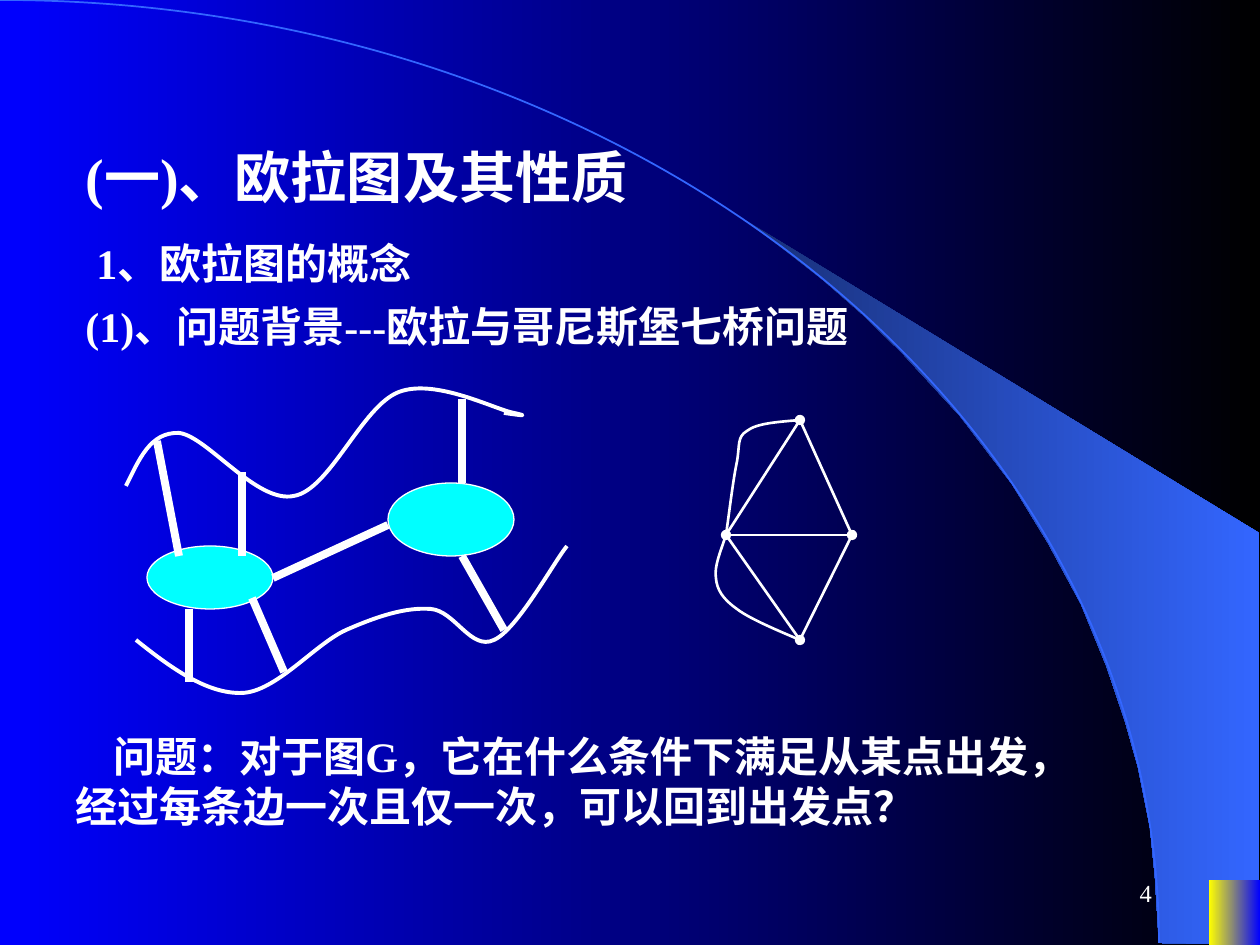
from lxml.etree import SubElement
from pptx import Presentation
from pptx.dml.color import RGBColor
from pptx.enum.shapes import MSO_CONNECTOR, MSO_SHAPE
from pptx.enum.text import MSO_ANCHOR, MSO_AUTO_SIZE, PP_ALIGN
from pptx.oxml.ns import qn
from pptx.util import Pt

PX = 914400 / 126
WHITE = RGBColor(255, 255, 255)
BLACK = RGBColor(0, 0, 0)
BLUE = RGBColor(0, 0, 255)
NAVY = RGBColor(0x18, 0x2F, 0x76)
SKY = RGBColor(0x33, 0x66, 0xFF)
YELLOW = RGBColor(255, 255, 0)
CYAN = RGBColor(0, 255, 255)


def emu(*nums):
    return [round(n * PX) for n in nums]


def outline(pts, close):
    pen = shapes.build_freeform(*emu(*pts[0]), scale=1.0)
    pen.add_line_segments([emu(*p) for p in pts[1:]], close=close)
    shape = pen.convert_to_shape()
    shape.shadow.inherit = False
    return shape


deck = Presentation()
deck.slide_width, deck.slide_height = emu(1260, 945)
slide = deck.slides.add_slide(deck.slide_layouts[5])
shapes = slide.shapes

# Backdrop: gradient, bright band right of the arc, corner block
band = outline([(1159, 943), (1259, 944), (1259, 533), (742, 218), (786, 251),
                (823, 280), (863, 315), (902, 353), (960, 416), (1012, 484),
                (1048, 543), (1081, 604), (1106, 665), (1125, 721), (1138, 767),
                (1150, 827), (1155, 877)], True)
block = shapes.add_shape(MSO_SHAPE.RECTANGLE, *emu(1209, 880, 51, 65))
block.shadow.inherit = False
for fill, first, last in (
    (slide.background.fill, BLUE, BLACK),
    (band.fill, NAVY, SKY),
    (block.fill, YELLOW, BLUE),
):
    fill.gradient()
    fill.gradient_angle = 0
    for stop, pos, color in zip(fill.gradient_stops, (0, 1), (first, last)):
        stop.position = pos
        stop.color.rgb = color
band.line.fill.background()
block.line.fill.background()

# Bezier knots: arc, the two river banks, the two bent edges of the graph
arc = [(0, 0), (640, 0), (1159, 422), (1159, 943)]
north = [(126, 486), (139, 460), (150, 432), (179, 433), (207, 436), (257, 504),
         (294, 496), (330, 490), (362, 406), (399, 392), (436, 378), (496, 410),
         (514, 413), (532, 417), (518, 415), (504, 413)]
south = [(136, 640), (171, 668), (207, 694), (242, 693), (276, 692), (315, 644),
         (346, 630), (378, 616), (406, 607), (431, 609), (455, 611), (471, 651),
         (494, 640), (517, 630), (554, 562), (567, 546)]
upper = [(800, 420), (779, 422), (757, 423), (747, 431), (737, 437), (740, 445),
         (737, 462), (733, 480), (728, 523), (726, 535)]
lower = [(726, 535), (721, 551), (714, 566), (716, 578), (717, 590), (723, 599),
         (737, 609), (751, 620), (789, 635), (800, 640)]
for knots, color, width in (
    (arc, SKY, 1),
    (north, WHITE, 2.25),
    (south, WHITE, 2.25),
    (upper, WHITE, 1.5),
    (lower, WHITE, 1.5),
):
    curve = outline(knots, False)
    curve.fill.background()
    curve.line.color.rgb = color
    curve.line.width = Pt(width)
    # Every three straight steps become one cubic curve
    track = next(curve._element.iter(qn("a:path")))
    steps = track.findall(qn("a:lnTo"))
    for i in range(0, len(steps), 3):
        bend = SubElement(track, qn("a:cubicBezTo"))
        for step in steps[i:i + 3]:
            bend.append(step[0])
            track.remove(step)

# Islands
for box in ((147, 546, 126, 63), (388, 483, 126, 73)):
    isle = shapes.add_shape(MSO_SHAPE.OVAL, *emu(*box))
    isle.shadow.inherit = False
    isle.fill.solid()
    isle.fill.fore_color.rgb = CYAN
    isle.line.color.rgb = WHITE
    isle.line.width = Pt(0.75)

# Seven bridges, then the straight edges of the graph (True: dots at both ends)
top, west, east, foot = (800, 420), (726, 535), (852, 535), (800, 640)
bridges = [((157, 441), (179, 556)), ((242, 472), (242, 556)), ((189, 609), (189, 682)),
           ((252, 598), (284, 672)), ((462, 399), (462, 483)), ((462, 556), (504, 630)),
           ((273, 578), (388, 525))]
edges = [(west, east, False), (top, west, True), (east, foot, True),
         (top, east, False), (west, foot, False)]
for start, end, width, dots in (
    [(a, b, 4.5, False) for a, b in bridges] + [(a, b, 1.5, d) for a, b, d in edges]
):
    line = shapes.add_connector(MSO_CONNECTOR.STRAIGHT, *emu(*start, *end))
    line.line.color.rgb = WHITE
    line.line.width = Pt(width)
    props = line._element.spPr
    if dots:
        for tag in ("a:headEnd", "a:tailEnd"):
            SubElement(props.find(qn("a:ln")), qn(tag), type="oval")
    SubElement(props, qn("a:effectLst"))

# Text: box, size, bold, first-line indent, right margin, wording
title = shapes.title
for box, size, bold, indent, margin, words in (
    ((73, 136, 924, 81), 32, True, 0, 13, "(一)、欧拉图及其性质"),
    ((84, 231, 987, 63), 24, True, 0, 13, "1、欧拉图的概念"),
    ((73, 294, 987, 63), 24, True, 0, 13, "(1)、问题背景---欧拉与哥尼斯堡七桥问题"),
    ((63, 724, 1040, 113), 24, True, 38, 70,
     "问题：对于图G，它在什么条件下满足从某点出发，经过每条边一次且仅一次，可以回到出发点？"),
    ((903, 861, 262, 63), 14, False, 0, 13, "4"),
):
    area = title if size == 32 else shapes.add_textbox(*emu(*box))
    area.left, area.top, area.width, area.height = emu(*box)
    frame = area.text_frame
    frame.word_wrap = True
    frame.auto_size = MSO_AUTO_SIZE.NONE
    frame.vertical_anchor = MSO_ANCHOR.TOP if bold else MSO_ANCHOR.MIDDLE
    frame.margin_right = emu(margin)[0]
    para = frame.paragraphs[0]
    para.alignment = PP_ALIGN.LEFT if bold else PP_ALIGN.RIGHT
    if indent:
        para._p.get_or_add_pPr().set("indent", str(emu(indent)[0]))
    run = para.add_run()
    run.text = words
    run.font.name = "Times New Roman"
    run.font.size = Pt(size)
    run.font.bold = bold
    run.font.color.rgb = WHITE

# The title stands in front of the drawing
shapes._spTree.append(title._element)

deck.save("out.pptx")
